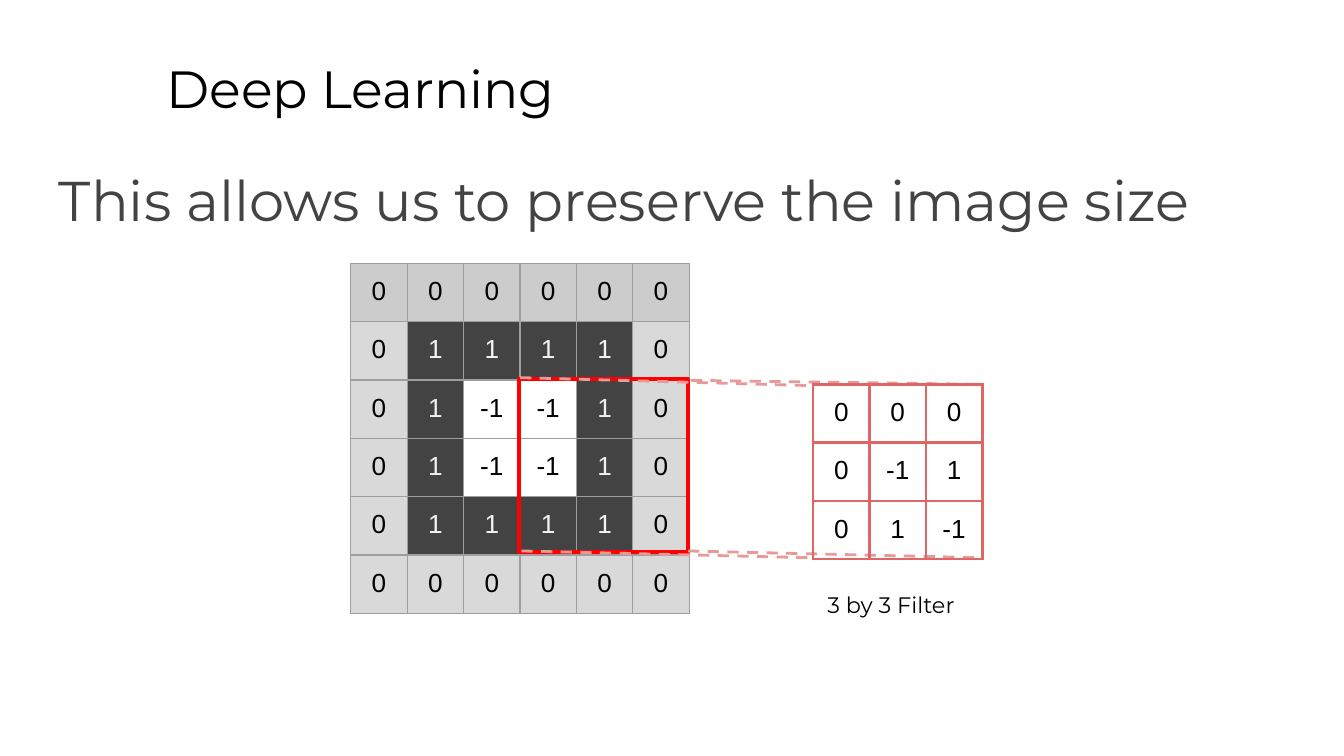
import pptx
import pptx.dml.color
import pptx.enum.dml
import pptx.enum.shapes
import pptx.enum.text
import pptx.oxml.ns
import pptx.util
from lxml import etree

Inches = pptx.util.Inches
Pt = pptx.util.Pt
RGBColor = pptx.dml.color.RGBColor
ALIGN = pptx.enum.text.PP_ALIGN

BLACK = RGBColor(0x00, 0x00, 0x00)
DARK_GRAY = RGBColor(0x43, 0x43, 0x43)
BORDER_GRAY = RGBColor(0x9E, 0x9E, 0x9E)
TOP_GRAY = RGBColor(0xCC, 0xCC, 0xCC)
PADDING_GRAY = RGBColor(0xD9, 0xD9, 0xD9)
NEAR_WHITE = RGBColor(0xF3, 0xF3, 0xF3)
SOFT_WHITE = RGBColor(0xEF, 0xEF, 0xEF)
RED = RGBColor(0xFF, 0x00, 0x00)
FILTER_RED = RGBColor(0xE0, 0x66, 0x66)
PALE_RED = RGBColor(0xEA, 0x99, 0x99)

COLUMN_WIDTH = 0.42
ROW_HEIGHT = 0.4
GRID_FRAME = 3.28
INSET = 0.1
IMAGE_VALUES = [
    [1, 1, 1, 1],
    [1, -1, -1, 1],
    [1, -1, -1, 1],
    [1, 1, 1, 1],
]
FILTER_VALUES = [[0, 0, 0], [0, -1, 1], [0, 1, -1]]


def write_text(frame, text, *, size, font="Montserrat", color=BLACK,
               align=ALIGN.LEFT, line_spacing=None, space_after=None):
    frame.word_wrap = True
    paragraph = frame.paragraphs[0]
    paragraph.alignment = align
    paragraph.line_spacing = line_spacing
    paragraph.space_after = space_after
    run = paragraph.add_run()
    run.text = text
    run.font.size = Pt(size)
    run.font.name = font
    run.font.color.rgb = color


def set_insets(holder):
    holder.margin_left = holder.margin_right = Inches(INSET)
    holder.margin_top = holder.margin_bottom = Inches(INSET)


def add_text(slide, box, text, **text_format):
    frame = slide.shapes.add_textbox(*map(Inches, box)).text_frame
    set_insets(frame)
    write_text(frame, text, **text_format)


def set_borders(cell, color, width):
    properties = cell._tc.get_or_add_tcPr()
    for index, side in enumerate(("lnL", "lnR", "lnT", "lnB")):
        line = etree.Element(pptx.oxml.ns.qn(f"a:{side}"), w=str(Pt(width)))
        fill = etree.SubElement(line, pptx.oxml.ns.qn("a:solidFill"))
        etree.SubElement(fill, pptx.oxml.ns.qn("a:srgbClr"), val=str(color))
        properties.insert(index, line)


def add_grid(slide, left, top, values, cell_style, border_color, border_width):
    """Draw a square table; cell_style(row, column) gives fill and text colour."""
    count = len(values)
    frame = slide.shapes.add_table(
        count, count, Inches(left), Inches(top),
        Inches(GRID_FRAME), Inches(GRID_FRAME))
    table = frame.table
    table.first_row = table.horz_banding = False
    for column in table.columns:
        column.width = Inches(COLUMN_WIDTH)
    for row in table.rows:
        row.height = Inches(ROW_HEIGHT)
    frame.width = frame.height = Inches(GRID_FRAME)
    for row, row_values in enumerate(values):
        for column, value in enumerate(row_values):
            cell = table.cell(row, column)
            fill_color, text_color = cell_style(row, column)
            if fill_color is None:
                cell.fill.background()
            else:
                cell.fill.solid()
                cell.fill.fore_color.rgb = fill_color
            set_insets(cell)
            write_text(cell.text_frame, str(value), size=14, font="Arial",
                       color=text_color, align=ALIGN.CENTER)
            set_borders(cell, border_color, border_width)


def add_padded_image(slide, left, top):
    """Draw the image values inside a ring of zeros, with the marked window."""
    zeros = [0] * (len(IMAGE_VALUES) + 2)
    values = [zeros, *([0, *row, 0] for row in IMAGE_VALUES), zeros]

    def cell_style(row, column):
        if values[row][column] == 0:
            return (TOP_GRAY if row == 0 else PADDING_GRAY), BLACK
        if values[row][column] == -1:
            return None, BLACK
        return DARK_GRAY, SOFT_WHITE if -1 in values[row] else NEAR_WHITE

    add_grid(slide, left, top, values, cell_style, BORDER_GRAY, 0.75)
    window = slide.shapes.add_shape(
        pptx.enum.shapes.MSO_SHAPE.RECTANGLE, Inches(left + 1.25),
        Inches(top + 0.86), Inches(1.26), Inches(1.29))
    window.shadow.inherit = False
    window.fill.background()
    window.line.color.rgb = RED
    window.line.width = Pt(2.25)


def add_projection_line(slide, start, end):
    connector = slide.shapes.add_connector(
        pptx.enum.shapes.MSO_CONNECTOR.STRAIGHT, *map(Inches, (*start, *end)))
    connector.line.color.rgb = PALE_RED
    connector.line.width = Pt(1.5)
    connector.line.dash_style = pptx.enum.dml.MSO_LINE.DASH
    etree.SubElement(connector._element.spPr, pptx.oxml.ns.qn("a:effectLst"))


def add_filter(slide, left, top):
    add_text(slide, (left - 0.14, top + 1.44, 1.44, 0.43), "3 by 3 Filter",
             size=12, align=ALIGN.CENTER)
    add_grid(slide, left, top, FILTER_VALUES,
             lambda row, column: (None, BLACK), FILTER_RED, 1.5)


def build_slide(presentation):
    slide = presentation.slides.add_slide(presentation.slide_layouts[6])
    add_text(slide, (1.14, 0.32, 8.52, 0.63), "Deep Learning", size=28)
    add_text(slide, (0.34, 1.06, 9.32, 0.68),
             "This allows us to preserve the image size", size=30,
             color=DARK_GRAY, line_spacing=1.15, space_after=Pt(16))
    add_padded_image(slide, 2.61, 1.96)
    for start, end in (
        ((5.14, 2.83), (7.31, 2.86)),
        ((3.87, 2.81), (6.05, 2.87)),
        ((3.88, 4.1), (6.04, 4.15)),
        ((5.12, 4.1), (7.31, 4.15)),
    ):
        add_projection_line(slide, start, end)
    add_filter(slide, 6.05, 2.86)


def main():
    presentation = pptx.Presentation()
    presentation.slide_width = Inches(10)
    presentation.slide_height = presentation.slide_width * 9 // 16
    build_slide(presentation)
    presentation.save("out.pptx")


if __name__ == "__main__":
    main()
